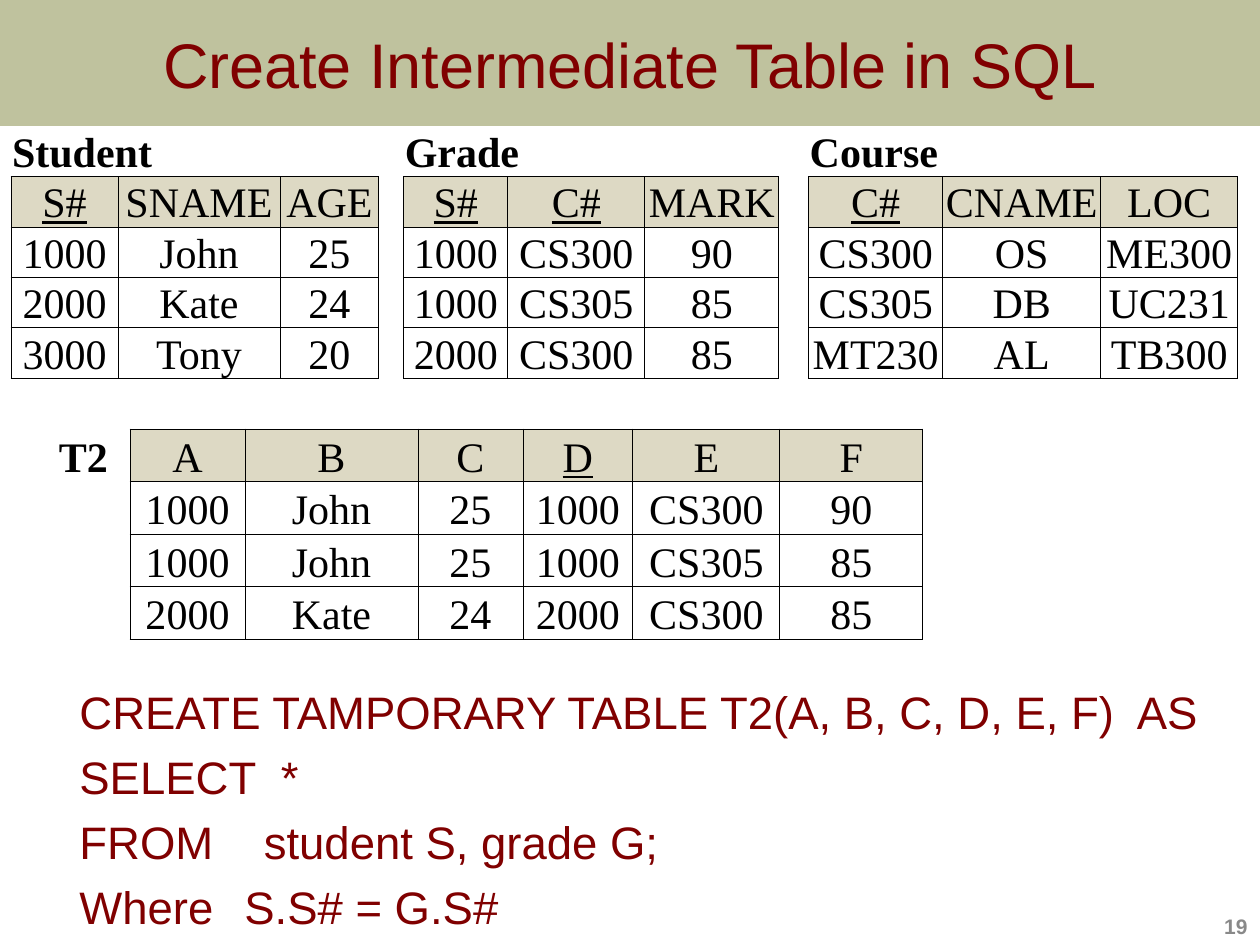
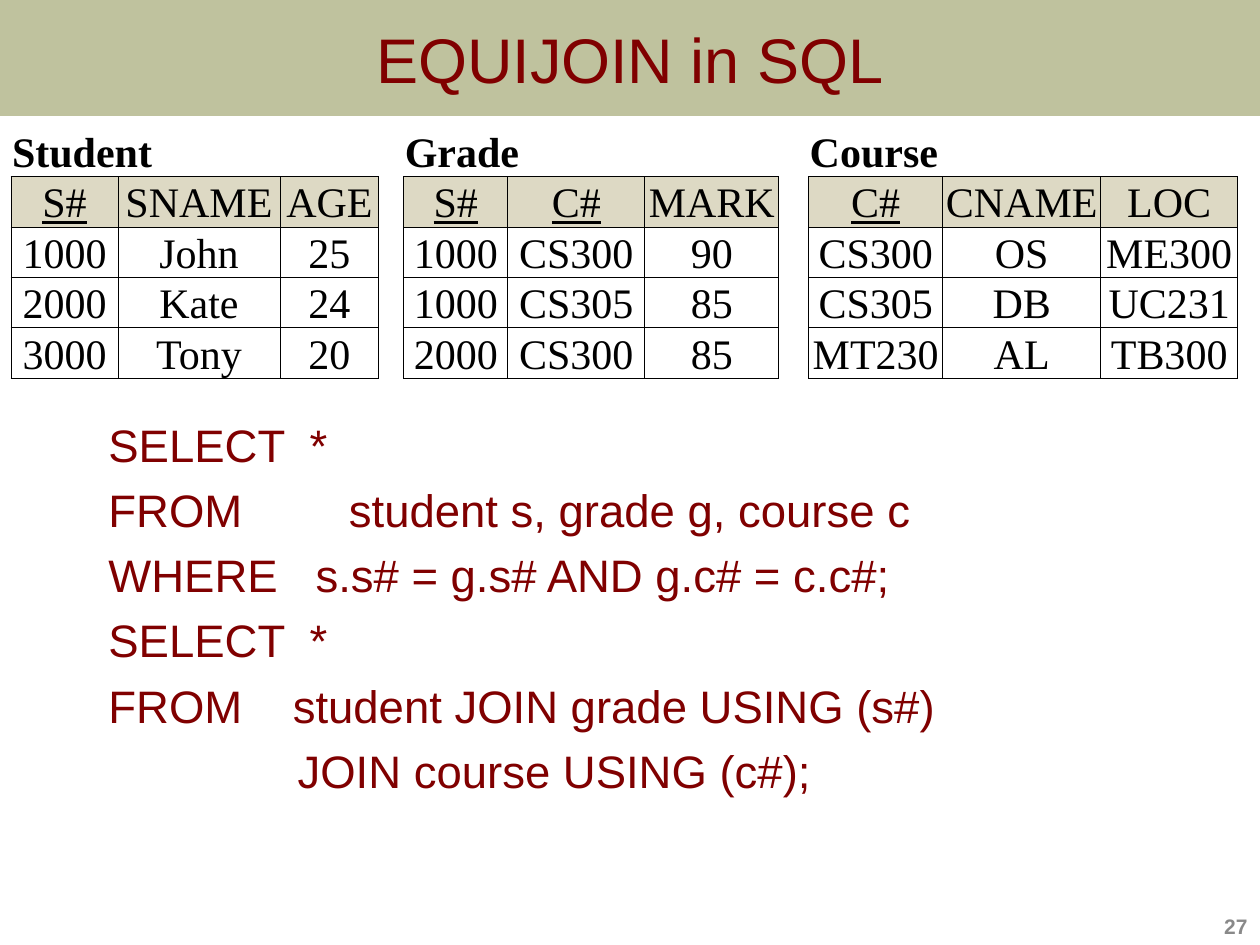
"""Build two slides on joining the student, grade and course tables in SQL."""
from lxml import etree
from pptx import Presentation
from pptx import util as u
from pptx.dml import color
from pptx.enum import shapes, text
from pptx.oxml import ns

PX = 7257
MAROON, OLIVE, GREY = "800000", "6E7524", "898989"
BLACK, WHITE, HEADER_FILL = "000000", "FFFFFF", "DDD9C4"
SANS, SERIF = "Arial", "Times New Roman"
CENTER, RIGHT, LEFT = text.PP_ALIGN.CENTER, text.PP_ALIGN.RIGHT, text.PP_ALIGN.LEFT
PLAIN_STYLE = "{2D5ABB26-0587-4C30-8999-92F81FD0307C}"
EDGES = {"lnL": (0, -1), "lnR": (0, 1), "lnT": (-1, 0), "lnB": (1, 0)}
KEYS = {"S#", "C#", "D"}
rgb = color.RGBColor.from_string

SCHEMA = [
    ["Student", "", "", "", "Grade", "", "", "", "Course", "", ""],
    ["S#", "SNAME", "AGE", "", "S#", "C#", "MARK", "", "C#", "CNAME", "LOC"],
    ["1000", "John", "25", "", "1000", "CS300", "90", "", "CS300", "OS", "ME300"],
    ["2000", "Kate", "24", "", "1000", "CS305", "85", "", "CS305", "DB", "UC231"],
    ["3000", "Tony", "20", "", "2000", "CS300", "85", "", "MT230", "AL", "TB300"],
]
SCHEMA_WIDTHS = [107, 162, 99, 25, 104, 137, 134, 30, 134, 158, 137]
JOINED = [
    ["T2", "A", "B", "C", "D", "E", "F"],
    ["", "1000", "John", "25", "1000", "CS300", "90"],
    ["", "1000", "John", "25", "1000", "CS305", "85"],
    ["", "2000", "Kate", "24", "2000", "CS300", "85"],
]
JOINED_WIDTHS = [93, 115, 173, 105, 110, 147, 143]
NAMES = {"Student", "Grade", "Course", "T2"}

SLIDES = [
    {
        "title": "Create Intermediate Table in SQL", "band": 126, "number": "19",
        "query_at": (4, 678, 1256, 251),
        "query": [
            "CREATE TAMPORARY TABLE T2(A, B, C, D, E, F)  AS",
            "SELECT  *",
            "FROM    student S, grade G;",
            "Where\tS.S# = G.S#",
        ],
        "grids": [(JOINED, JOINED_WIDTHS, 37, 429, 210, 0),
                  (SCHEMA, SCHEMA_WIDTHS, 11, 126, 240, 1)],
    },
    {
        "title": "EQUIJOIN in SQL", "band": 116, "number": "27",
        "query_at": (33, 411, 1143, 398),
        "query": [
            "SELECT  *",
            "FROM    \t student s, grade g, course c",
            "WHERE   s.s# = g.s# AND g.c# = c.c#;",
            "SELECT  *",
            "FROM    student JOIN grade USING (s#)",
            "               JOIN course USING (c#);",
        ],
        "grids": [(SCHEMA, SCHEMA_WIDTHS, 11, 126, 240, 1)],
    },
]


def style(para, content, font, size, ink, align, bold=False):
    """Fill a paragraph with text in one font."""
    para.text = content
    para.alignment = align
    para.font.name, para.font.size, para.font.bold = font, u.Pt(size), bold
    para.font.color.rgb = rgb(ink)


def add_grid(page, rows, widths, left, top, height, header_row):
    """Draw a table whose named and empty cells stay unboxed."""
    frame = page.shapes.add_table(len(rows), len(widths), left * PX, top * PX,
                                  sum(widths) * PX, height * PX)
    table = frame.table
    table.first_row = table.horz_banding = False
    table._tbl.tblPr.find(ns.qn("a:tableStyleId")).text = PLAIN_STYLE
    for column, width in zip(table.columns, widths):
        column.width = width * PX
    for row in table.rows:
        row.height = height * PX // len(rows)
    boxed = {(r, c) for r, row in enumerate(rows) for c, value in enumerate(row)
             if value and value not in NAMES}
    for r, row in enumerate(rows):
        for c, value in enumerate(row):
            cell = table.cell(r, c)
            cell.margin_left = cell.margin_right = PX
            cell.margin_top = cell.margin_bottom = 0
            cell.vertical_anchor = text.MSO_ANCHOR.BOTTOM
            named = value in NAMES
            para = cell.text_frame.paragraphs[0]
            style(para, value, SERIF, 24, BLACK,
                  LEFT if named and header_row else CENTER, named)
            para.font.underline = value in KEYS
            properties = cell._tc.get_or_add_tcPr()
            for edge, (down, across) in EDGES.items():
                if (r, c) in boxed or (r + down, c + across) in boxed:
                    line = etree.SubElement(properties, ns.qn("a:" + edge), w="6350")
                    solid = etree.SubElement(line, ns.qn("a:solidFill"))
                    etree.SubElement(solid, ns.qn("a:srgbClr"), val=BLACK)
            cell.fill.solid()
            is_header = r == header_row and (r, c) in boxed
            cell.fill.fore_color.rgb = rgb(HEADER_FILL if is_header else WHITE)
            if named and header_row:
                cell.merge(table.cell(r, c + 2))


deck = Presentation()
deck.slide_width, deck.slide_height = u.Inches(10), u.Inches(7.5)

for content in SLIDES:
    page = deck.slides.add_slide(deck.slide_layouts[6])

    band = page.shapes.add_shape(shapes.MSO_SHAPE.RECTANGLE, 0, 0,
                                 deck.slide_width, content["band"] * PX)
    band.shadow.inherit = False
    band.line.fill.background()
    band.fill.solid()
    band.fill.fore_color.rgb = rgb(OLIVE)
    olive = band._element.spPr.find(".//" + ns.qn("a:srgbClr"))
    etree.SubElement(olive, ns.qn("a:alpha"), val="44000")
    band.text_frame.vertical_anchor = text.MSO_ANCHOR.MIDDLE
    style(band.text_frame.paragraphs[0], content["title"], SANS, 36, MAROON, CENTER)

    query = page.shapes.add_textbox(*(n * PX for n in content["query_at"])).text_frame
    query.word_wrap = True
    query.margin_right = 0
    for index, code in enumerate(content["query"]):
        para = query.add_paragraph() if index else query.paragraphs[0]
        properties = para._p.get_or_add_pPr()
        properties.set("marL", str(102 * PX))
        properties.set("indent", str(-39 * PX))
        style(para, code, SANS, 26, MAROON, LEFT)
        if index:
            para.space_before = u.Pt(6)

    number = page.shapes.add_textbox(998 * PX, 882 * PX, 262 * PX, 63 * PX).text_frame
    number.word_wrap = True
    number.vertical_anchor = text.MSO_ANCHOR.BOTTOM
    style(number.paragraphs[0], content["number"], SANS, 12, GREY, RIGHT, True)

    for grid in content["grids"]:
        add_grid(page, *grid)

deck.save("out.pptx")
